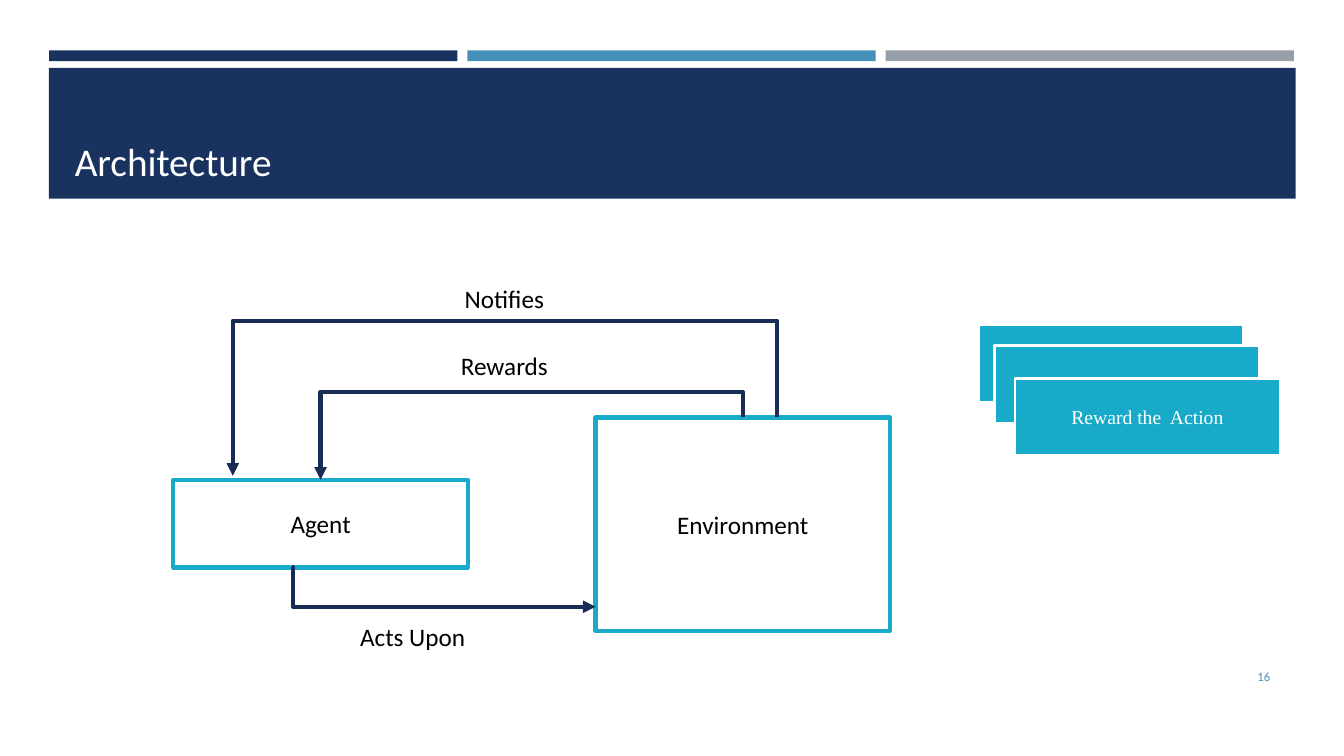
from dataclasses import dataclass

from lxml import etree
from pptx import Presentation
from pptx import util as u
from pptx.dml.color import RGBColor
from pptx.enum import shapes, text
from pptx.oxml import ns


@dataclass(frozen=True)
class Theme:
    """Colours, fonts and type sizes of the slide."""
    navy: str = "1A3260"
    blue: str = "4590B8"
    grey: str = "969FA7"
    teal: str = "19AAC9"
    arrow: str = "172D56"
    white: str = "FFFFFF"
    black: str = "000000"
    sans: str = "Calibri"
    serif: str = "Times New Roman"
    title: int = 28
    label: int = 18
    card: int = 14
    number: int = 9


theme = Theme()
ALIGN, ANCHOR = text.PP_ALIGN, text.MSO_ANCHOR


def add_rect(left, top, width, height, fill, line=None, weight=0):
    """Add a flat rectangle, measured in centimetres."""
    rect = page.shapes.add_shape(shapes.MSO_SHAPE.RECTANGLE, u.Cm(left), u.Cm(top),
                                 u.Cm(width), u.Cm(height))
    rect.shadow.inherit = False
    rect.fill.solid()
    rect.fill.fore_color.rgb = RGBColor.from_string(fill)
    if line:
        rect.line.color.rgb = RGBColor.from_string(line)
        rect.line.width = u.Pt(weight)
    else:
        rect.line.fill.background()
    return rect


def write(box, words, size, color, font=theme.sans, align=ALIGN.CENTER,
          anchor=ANCHOR.MIDDLE):
    """Write one formatted run into a shape, text box or placeholder."""
    frame = box.text_frame
    frame.word_wrap = True
    frame.vertical_anchor = anchor
    para = frame.paragraphs[0]
    para.alignment = align
    span = para.add_run()
    span.text = words
    span.font.size = u.Pt(size)
    span.font.name = font
    span.font.color.rgb = RGBColor.from_string(color)


deck = Presentation()
deck.slide_width, deck.slide_height = u.Cm(33.87), u.Cm(19.05)
page = deck.slides.add_slide(deck.slide_layouts.get_by_name("Title Only"))

# Header: three bars above the title band
for column, color in enumerate((theme.navy, theme.blue, theme.grey)):
    add_rect(1.24 + column * 10.54, 1.27, 10.29, 0.27, color)
band = add_rect(1.23, 1.71, 31.42, 3.3, theme.navy)

title = page.shapes.title
title.left, title.top = u.Cm(1.63), u.Cm(1.96)
title.width, title.height = u.Cm(30.63), u.Cm(2.82)
write(title, "Architecture", theme.title, theme.white,
      align=ALIGN.LEFT, anchor=ANCHOR.BOTTOM)
band._element.addnext(title._element)

# The two actors
for name, left, top, height in (("Environment", 15.01, 10.52, 5.38),
                                ("Agent", 4.37, 12.09, 2.21)):
    actor = add_rect(left, top, 7.42, height, theme.white, theme.teal, 3)
    write(actor, name, theme.label, theme.black)

# Elbow arrows: start, end, bend as a share of the way, leaves upwards or not
arrows = (
    ((18.72, 10.52), (8.08, 12.09), (9.88 - 10.52) / (12.09 - 10.52), True),
    ((19.58, 10.52), (5.87, 11.99), (8.08 - 10.52) / (11.99 - 10.52), True),
    ((7.37, 14.28), (15.01, 15.29), 0.002, False),
)
for (x1, y1), (x2, y2), bend, upwards in arrows:
    arrow = page.shapes.add_connector(shapes.MSO_CONNECTOR.ELBOW, u.Cm(x1), u.Cm(y1),
                                      u.Cm(x2), u.Cm(y2))
    arrow.line.color.rgb = RGBColor.from_string(theme.arrow)
    arrow.line.width = u.Pt(3)
    props = arrow._element.spPr
    if upwards:
        # A quarter turn swaps width and height around the same centre
        across, down = abs(x2 - x1), abs(y2 - y1)
        arrow.left = u.Cm((x1 + x2 - down) / 2)
        arrow.top = u.Cm((y1 + y2 - across) / 2)
        arrow.width, arrow.height = u.Cm(down), u.Cm(across)
        frame = props.find(ns.qn("a:xfrm"))
        for key, value in (("rot", "16200000"), ("flipH", "1"), ("flipV", "1")):
            frame.set(key, value)
    guides = props.find(ns.qn("a:prstGeom")).get_or_add_avLst()
    etree.SubElement(guides, ns.qn("a:gd"), name="adj1",
                     fmla=f"val {round(bend * 100000)}")
    line = props.find(ns.qn("a:ln"))
    etree.SubElement(line, ns.qn("a:round"))
    etree.SubElement(line, ns.qn("a:tailEnd"), type="triangle")
    etree.SubElement(props, ns.qn("a:effectLst"))

# Arrow labels and page number
captions = (
    ("Notifies", 9.27, 7.01, 6.88, theme.label, theme.black, ALIGN.CENTER, ANCHOR.TOP),
    ("Rewards", 9.27, 8.71, 6.88, theme.label, theme.black, ALIGN.CENTER, ANCHOR.TOP),
    ("Acts Upon", 6.96, 15.54, 6.88, theme.label, theme.black, ALIGN.CENTER, ANCHOR.TOP),
    ("16", 29.34, 16.54, 2.92, theme.number, theme.blue, ALIGN.RIGHT, ANCHOR.MIDDLE),
)
for words, left, top, width, size, color, align, anchor in captions:
    caption = page.shapes.add_textbox(u.Cm(left), u.Cm(top), u.Cm(width), u.Cm(1.02))
    write(caption, words, size, color, align=align, anchor=anchor)

# Stack of cards, the front one last
for left, top in ((24.66, 8.18), (25.07, 8.71), (25.58, 9.53)):
    card = add_rect(left, top, 6.68, 1.96, theme.teal, theme.white, 2)
write(card, "Reward the  Action", theme.card, theme.white, theme.serif)

deck.save("out.pptx")
